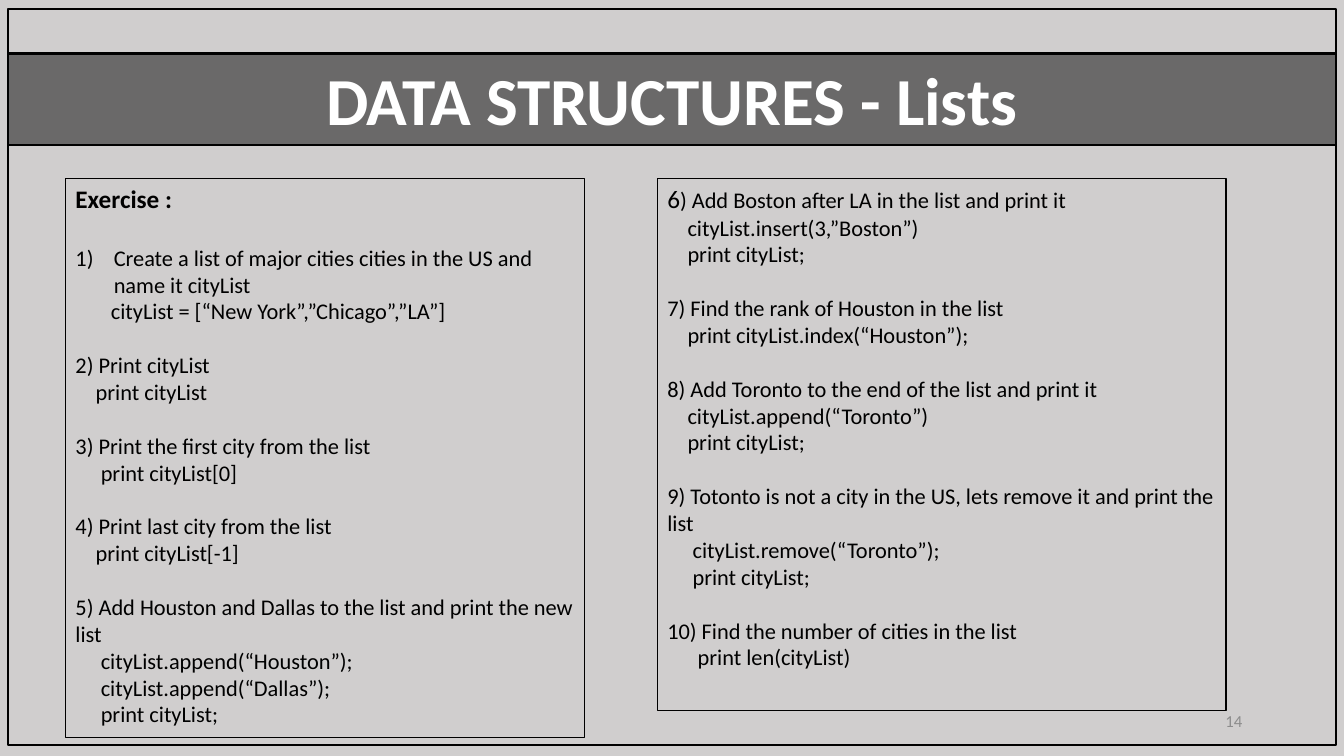
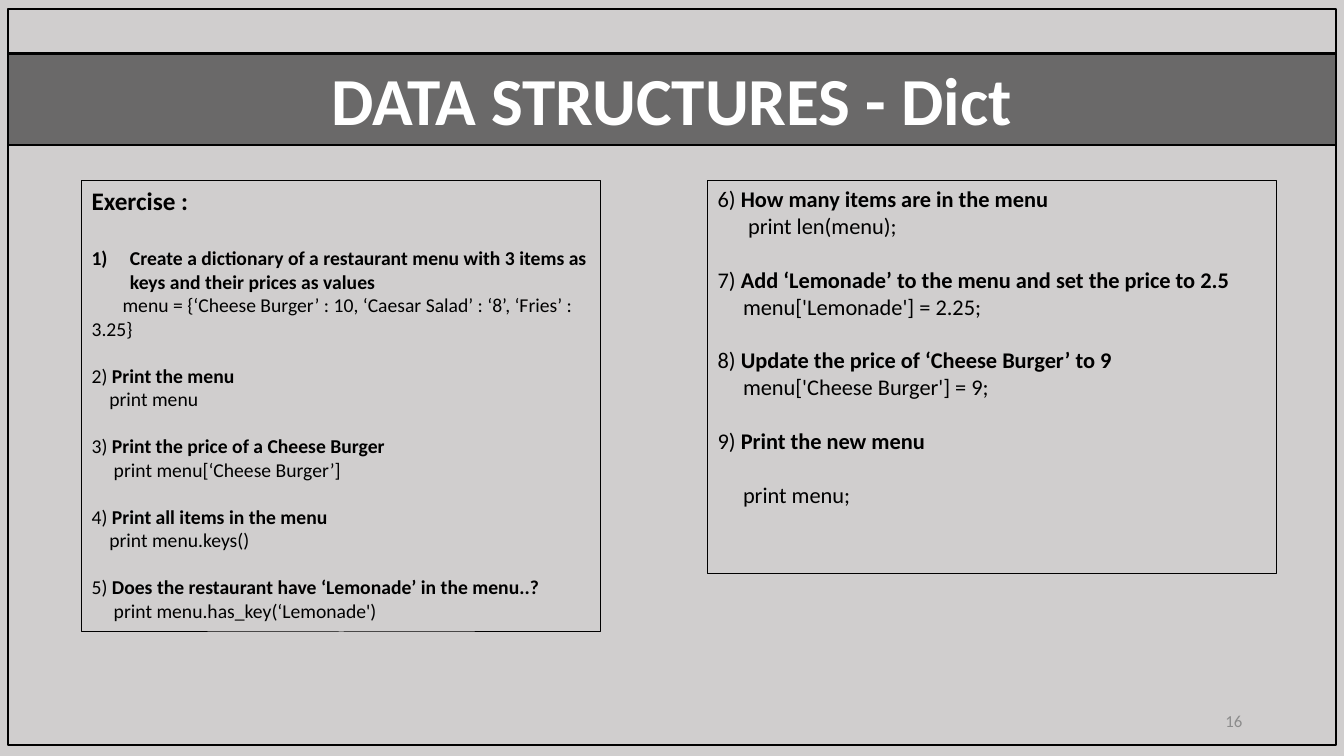
from dataclasses import dataclass

from lxml.etree import SubElement
from pptx import Presentation
from pptx.dml.color import RGBColor
from pptx.enum.shapes import MSO_SHAPE
from pptx.enum.text import MSO_ANCHOR, MSO_AUTO_SIZE, PP_ALIGN
from pptx.oxml.ns import qn
from pptx.util import Inches, Pt


@dataclass(frozen=True)
class Theme:
    font: str = "Calibri"
    background: RGBColor = RGBColor(0xD0, 0xCE, 0xCE)
    ink: RGBColor = RGBColor(0, 0, 0)
    title_ink: RGBColor = RGBColor(0xFF, 0xFF, 0xFF)
    number_ink: RGBColor = RGBColor(0x8C, 0x8C, 0x8C)
    band_alpha: int = 49
    title_size: int = 48
    heading_size: int = 18
    number_size: int = 12
    frame_line: float = 1.75
    panel_line: float = 0.75
    line_height: float = 1.2    # height of a text line, in ems
    space_width: float = 0.226  # width of one indent step, in ems
    list_indent: float = 0.38


THEME = Theme()


@dataclass(frozen=True)
class Task:
    number: str
    question: str
    code: tuple
    steps: int = 4           # indent steps before the code
    auto_number: bool = False
    code_gap: bool = False   # an empty line above the code
    large_number: bool = False


@dataclass(frozen=True)
class Panel:
    at: tuple
    size: int
    tasks: tuple
    heading: str = ""
    bold_questions: bool = False


# Content
LISTS_PANELS = (
    Panel((0.65, 1.77, 5.15, 5.55), 16, (
        Task("1", "Create a list of major cities cities in the US and name it cityList",
             ("cityList = [“New York”,”Chicago”,”LA”]",), 7, auto_number=True),
        Task("2", "Print cityList", ("print cityList",)),
        Task("3", "Print the first city from the list", ("print cityList[0]",), 5),
        Task("4", "Print last city from the list", ("print cityList[-1]",)),
        Task("5", "Add Houston and Dallas to the list and print the new list",
             ("cityList.append(“Houston”);", "cityList.append(“Dallas”);",
              "print cityList;"), 5),
    ), heading="Exercise :"),
    Panel((6.52, 1.77, 5.64, 5.28), 16, (
        Task("6", "Add Boston after LA in the list and print it",
             ("cityList.insert(3,”Boston”)", "print cityList;"), large_number=True),
        Task("7", "Find the rank of Houston in the list",
             ("print cityList.index(“Houston”);",)),
        Task("8", "Add Toronto to the end of the list and print it",
             ("cityList.append(“Toronto”)", "print cityList;")),
        Task("9", "Totonto is not a city in the US, lets remove it and print the list",
             ("cityList.remove(“Toronto”);", "print cityList;"), 5),
        Task("10", "Find the number of cities in the list",
             ("print len(cityList)",), 6),
    )),
)

DICT_PANELS = (
    Panel((0.81, 1.79, 5.15, 4.48), 14, (
        Task("1", "Create a dictionary of a restaurant menu with 3 items as keys "
             "and their prices as values",
             ("menu = {‘Cheese Burger’ : 10, ‘Caesar Salad’ : ‘8’, ‘Fries’ : 3.25}",),
             7, auto_number=True),
        Task("2", "Print the menu", ("print menu",)),
        Task("3", "Print the price of a Cheese Burger",
             ("print menu[‘Cheese Burger’]",), 5),
        Task("4", "Print all items in the menu", ("print menu.keys()",)),
        Task("5", "Does the restaurant have ‘Lemonade’ in the menu..?",
             ("print menu.has_key(‘Lemonade')",), 5),
    ), heading="Exercise :", bold_questions=True),
    Panel((7.02, 1.79, 5.64, 3.9), 16, (
        Task("6", "How many items are in the menu", ("print len(menu);",), 6),
        Task("7", "Add ‘Lemonade’ to the menu and set the price to 2.5",
             ("menu['Lemonade'] = 2.25;",), 5),
        Task("8", "Update the price of ‘Cheese Burger’ to 9",
             ("menu['Cheese Burger'] = 9;",), 5),
        Task("9", "Print the new menu", ("print menu;",), 5, code_gap=True),
    ), bold_questions=True),
)

SLIDES = (
    ("DATA STRUCTURES - Lists", LISTS_PANELS, "14"),
    ("DATA STRUCTURES - Dict", DICT_PANELS, "16"),
)


# Text helpers
def add_run(paragraph, text, size, color=THEME.ink, bold=False):
    run = paragraph.add_run()
    run.text = text
    run.font.name = THEME.font
    run.font.size = Pt(size)
    run.font.bold = bold
    run.font.color.rgb = color


def next_paragraph(frame, gap=0):
    """Return the first paragraph while it is unused, then new ones."""
    paragraph = frame.paragraphs[0]
    if paragraph.runs:
        paragraph = frame.add_paragraph()
    paragraph.space_before = Pt(gap)
    return paragraph


def set_indent(paragraph, first_line, left=0):
    properties = paragraph._p.get_or_add_pPr()
    properties.set("marL", str(Inches(left)))
    properties.set("indent", str(Inches(first_line)))
    return properties


def add_auto_number(paragraph):
    properties = set_indent(paragraph, -THEME.list_indent, THEME.list_indent)
    SubElement(properties, qn("a:buFont"), typeface=THEME.font)
    SubElement(properties, qn("a:buAutoNum"), type="arabicParenR")


def add_text_frame(slide, at):
    shape = slide.shapes.add_textbox(*map(Inches, at))
    shape.text_frame.word_wrap = True
    shape.text_frame.auto_size = MSO_AUTO_SIZE.NONE
    return shape


def outline(shape, width):
    shape.line.color.rgb = THEME.ink
    shape.line.width = Pt(width)


# Slide parts
def add_frame(slide):
    shape = slide.shapes.add_shape(
        MSO_SHAPE.RECTANGLE, *map(Inches, (0.08, 0.09, 13.17, 7.3)))
    shape.shadow.inherit = False
    shape.fill.background()
    outline(shape, THEME.frame_line)


def format_title(slide, text):
    title = slide.shapes.title
    title.left, title.top, title.width, title.height = map(
        Inches, (0.08, 0.53, 13.17, 0.91))
    title.fill.solid()
    title.fill.fore_color.rgb = THEME.ink
    color = title.fill._xPr.find(f".//{qn('a:srgbClr')}")
    SubElement(color, qn("a:alpha"), val=str(THEME.band_alpha * 1000))
    outline(title, THEME.frame_line)
    frame = title.text_frame
    frame.auto_size = MSO_AUTO_SIZE.NONE
    frame.vertical_anchor = MSO_ANCHOR.TOP
    paragraph = frame.paragraphs[0]
    paragraph.alignment = PP_ALIGN.CENTER
    paragraph.line_spacing = 1.0
    add_run(paragraph, text, THEME.title_size, THEME.title_ink, bold=True)


def add_task(frame, task, panel, gap):
    paragraph = next_paragraph(frame, gap)
    if task.auto_number:
        add_auto_number(paragraph)
    else:
        number_size = THEME.heading_size if task.large_number else panel.size
        add_run(paragraph, task.number, number_size)
        add_run(paragraph, ") ", panel.size)
    add_run(paragraph, task.question, panel.size, bold=panel.bold_questions)

    code_indent = task.steps * THEME.space_width * panel.size / 72
    for index, code in enumerate(task.code):
        has_gap = task.code_gap and index == 0
        paragraph = next_paragraph(
            frame, panel.size * THEME.line_height if has_gap else 0)
        set_indent(paragraph, code_indent)
        add_run(paragraph, code, panel.size)


def add_panel(slide, panel):
    shape = add_text_frame(slide, panel.at)
    outline(shape, THEME.panel_line)
    frame = shape.text_frame
    gap = 0
    if panel.heading:
        add_run(next_paragraph(frame), panel.heading, THEME.heading_size, bold=True)
        gap = THEME.heading_size * THEME.line_height
    for task in panel.tasks:
        add_task(frame, task, panel, gap)
        gap = panel.size * THEME.line_height


def add_slide_number(slide, number):
    frame = add_text_frame(slide, (9.42, 6.95, 3, 0.4)).text_frame
    frame.vertical_anchor = MSO_ANCHOR.MIDDLE
    paragraph = frame.paragraphs[0]
    paragraph.alignment = PP_ALIGN.RIGHT
    add_run(paragraph, number, THEME.number_size, THEME.number_ink)


def main():
    presentation = Presentation()
    presentation.slide_width = Inches(13.33)
    presentation.slide_height = Inches(7.5)
    background = presentation.slide_master.background.fill
    background.solid()
    background.fore_color.rgb = THEME.background
    title_only = presentation.slide_layouts[5]

    for title, panels, number in SLIDES:
        slide = presentation.slides.add_slide(title_only)
        add_frame(slide)
        format_title(slide, title)
        for panel in panels:
            add_panel(slide, panel)
        add_slide_number(slide, number)

    presentation.save("out.pptx")


if __name__ == "__main__":
    main()
